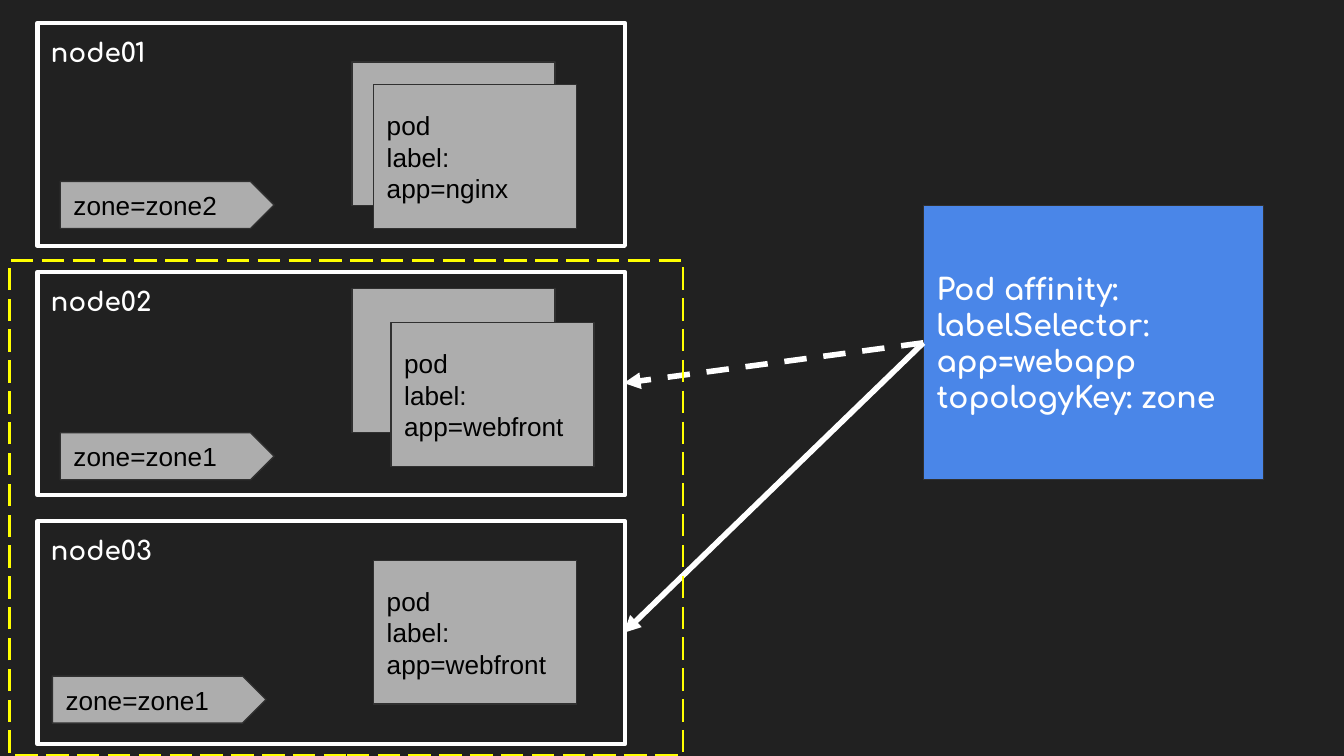
"""Build the pod affinity slide: three nodes, their pods and the zone they share."""
from lxml import etree
from pptx import Presentation
from pptx.dml.color import RGBColor
from pptx.enum import dml, shapes, text
from pptx.oxml.ns import qn
from pptx.util import Cm, Pt

WHITE, GREY, EDGE = "FFFFFF", "ADADAD", "303030"
RECT, TAG = shapes.MSO_SHAPE.RECTANGLE, shapes.MSO_SHAPE.PENTAGON
MID, TOP = text.MSO_ANCHOR.MIDDLE, text.MSO_ANCHOR.TOP

deck = Presentation()
deck.slide_width, deck.slide_height = Cm(25.4), Cm(14.29)
slide = deck.slides.add_slide(deck.slide_layouts[6])


def paint(fill, color):
    fill.solid()
    fill.fore_color.rgb = RGBColor.from_string(color)


def box(kind, place, fill=None, line=EDGE, width=0.75, lines=(),
        font="Arial", size=14, color="000000", bold=False, anchor=MID):
    shape = slide.shapes.add_shape(kind, *map(Cm, place))
    shape.shadow.inherit = False
    if fill:
        paint(shape.fill, fill)
    else:
        shape.fill.background()
    paint(shape.line.fill, line)
    shape.line.width = Pt(width)
    frame = shape.text_frame
    frame.word_wrap = True
    frame.vertical_anchor = anchor
    frame.margin_left = frame.margin_right = Cm(0.25)
    frame.margin_top = frame.margin_bottom = Cm(0.25)
    for i, words in enumerate(lines):
        para = frame.add_paragraph() if i else frame.paragraphs[0]
        para.alignment = text.PP_ALIGN.LEFT
        run = para.add_run()
        run.text = words
        run.font.name, run.font.size, run.font.bold = font, Pt(size), bold
        paint(run.font.fill, color)
    return shape


paint(slide.background.fill, "212121")

nodes = [
    ("node01", "zone=zone2", (1.14, 3.43), "nginx", [(6.65, 1.17), (7.06, 1.6)]),
    ("node02", "zone=zone1", (1.14, 8.18), "webfront", [(6.65, 5.46), (7.39, 6.1)]),
    ("node03", "zone=zone1", (0.99, 12.78), "webfront", [(7.06, 10.59)]),
]
for i, (name, zone, spot, app, pods) in enumerate(nodes):
    box(RECT, (0.71, 0.43 + 4.71 * i, 11.1, 4.22), line=WHITE, width=2.25,
        lines=[name], font="Comfortaa", color=WHITE, bold=True, anchor=TOP)
    box(TAG, (*spot, 4.04, 0.89), GREY, lines=[zone])
    for pod in pods:
        label = ["pod", f"label: app={app}"] if pod == pods[-1] else []
        box(RECT, (*pod, 3.84, 2.72), GREY, lines=label)

rule = ["Pod affinity:", "labelSelector:", "app=webapp", "topologyKey: zone"]
box(RECT, (17.45, 3.89, 6.43, 5.18), "4A86E8", lines=rule,
    font="Comfortaa", size=16, color=WHITE, bold=True)

for end, dash in [(7.24, dml.MSO_LINE.DASH), (11.96, None)]:
    link = slide.shapes.add_connector(
        shapes.MSO_CONNECTOR.STRAIGHT, Cm(17.45), Cm(6.48), Cm(11.79), Cm(end))
    paint(link.line.fill, WHITE)
    link.line.width = Pt(3)
    link.line.dash_style = dash
    props = link._element.spPr
    etree.SubElement(props.find(qn("a:ln")), qn("a:tailEnd"), type="triangle")
    etree.SubElement(props, qn("a:effectLst"))

area = box(RECT, (0.18, 4.93, 12.73, 9.35), line="FFFF00", width=1.5)
area.line.dash_style = dml.MSO_LINE.LONG_DASH

deck.save("out.pptx")
